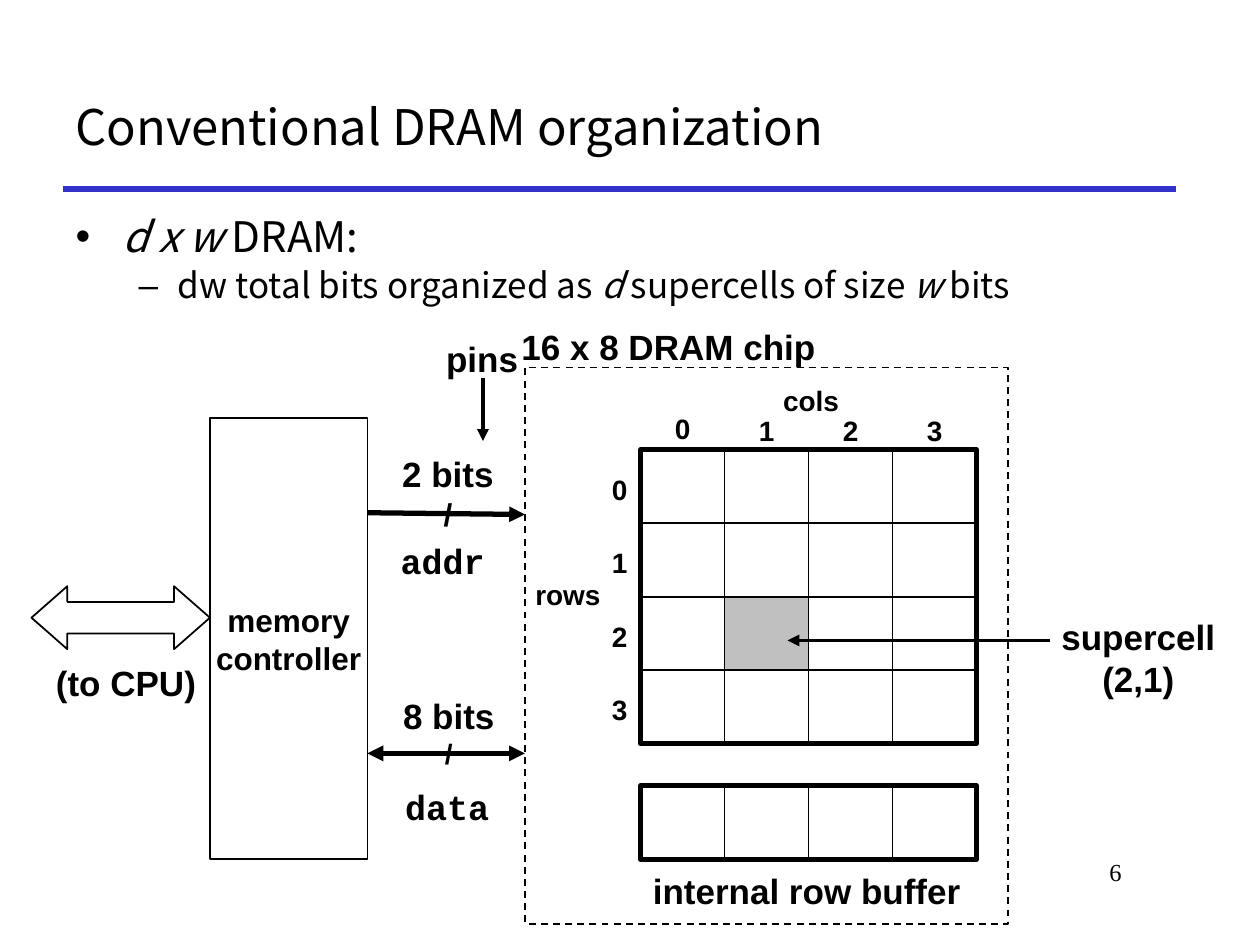
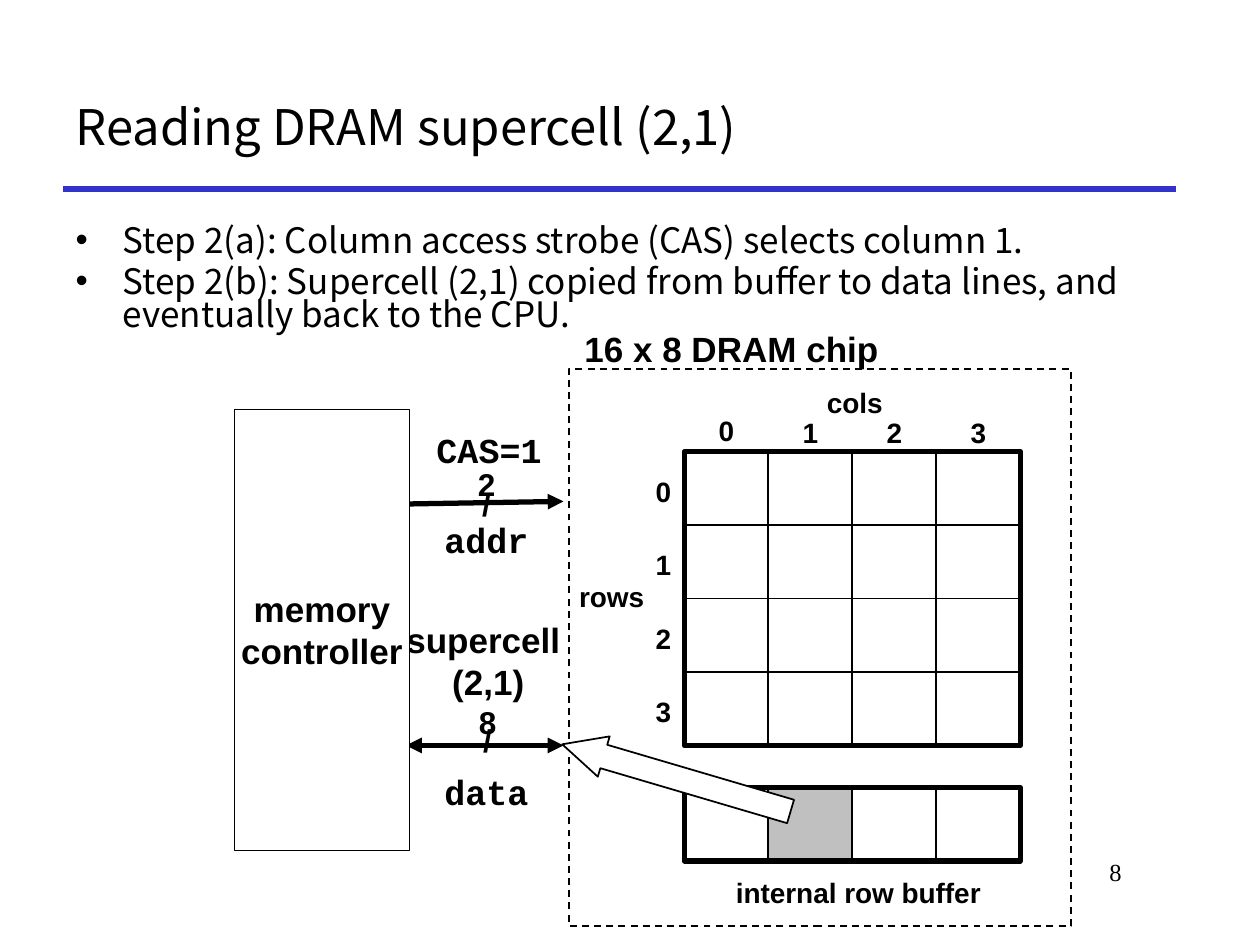
from lxml import etree
from pptx import Presentation
from pptx.dml.color import RGBColor
from pptx.enum import dml, shapes, text
from pptx.oxml import ns
from pptx.util import Pt

BLACK = RGBColor(0x00, 0x00, 0x00)
WHITE = RGBColor(0xFF, 0xFF, 0xFF)
GRAY = RGBColor(0xC0, 0xC0, 0xC0)
BLUE = RGBColor(0x33, 0x33, 0xCC)

HEADING, LABEL, CODE, NUMBER = (
    "Noto Sans CJK KR", "Arial", "Courier New", "Times New Roman")

CELL_W, CELL_H, CELLS = 48, 42, 4
BUFFER_DROP = 192  # from the top of the grid to the top of the row buffer
BULLETS = [("•", 27, -27), ("–", 58.5, -22.5)]  # mark, margin, indent by level


# Text
def add_run(p, words, size, font, bold=False, italic=False):
    r = p.add_run()
    r.text = words
    r.font.size = Pt(size)
    r.font.name = font
    r.font.bold = bold
    r.font.italic = italic
    r.font.color.rgb = BLACK


def write_lines(tf, lines, size, font, last_size=None, spacing=None):
    """Bold centred lines; the last one may have its own size."""
    tf.word_wrap = False
    tf.vertical_anchor = text.MSO_ANCHOR.MIDDLE
    for i, line in enumerate(lines):
        p = tf.paragraphs[0] if i == 0 else tf.add_paragraph()
        p.alignment = text.PP_ALIGN.CENTER
        if spacing:
            p.line_spacing = Pt(spacing)
        is_last = i == len(lines) - 1
        add_run(p, line, last_size if last_size and is_last else size, font, bold=True)


def label(s, lines, cx, cy, w, size=20, font=LABEL, last_size=None, spacing=None):
    """A text box centred on (cx, cy)."""
    h = len(lines) * (spacing or 1.2 * size) + 7.2
    sp = s.shapes.add_textbox(Pt(cx - w / 2), Pt(cy - h / 2), Pt(w), Pt(h))
    write_lines(sp.text_frame, lines, size, font, last_size, spacing)
    sp.text_frame.auto_size = text.MSO_AUTO_SIZE.SHAPE_TO_FIT_TEXT


# Shapes and lines
def outline(s, kind, x, y, w, h, fill=None, weight=1, dashed=False):
    sp = s.shapes.add_shape(kind, Pt(x), Pt(y), Pt(w), Pt(h))
    sp.shadow.inherit = False
    if fill is None:
        sp.fill.background()
    else:
        sp.fill.solid()
        sp.fill.fore_color.rgb = fill
    sp.line.color.rgb = BLACK
    sp.line.width = Pt(weight)
    if dashed:
        sp.line.dash_style = dml.MSO_LINE.DASH
    return sp


def box(s, *place, **style):
    return outline(s, shapes.MSO_SHAPE.RECTANGLE, *place, **style)


def line(s, x1, y1, x2, y2, weight=3, color=BLACK, ends=()):
    c = s.shapes.add_connector(
        shapes.MSO_CONNECTOR.STRAIGHT, Pt(x1), Pt(y1), Pt(x2), Pt(y2))
    c.line.color.rgb = color
    c.line.width = Pt(weight)
    ln = c.line._get_or_add_ln()
    for end in ends:
        etree.SubElement(ln, ns.qn(f"a:{end}"), type="triangle")
    etree.SubElement(c._element.spPr, ns.qn("a:effectLst"))


def arrow(s, *points, weight=3, both=False):
    ends = ("headEnd", "tailEnd") if both else ("tailEnd",)
    line(s, *points, weight=weight, ends=ends)


# Frame shared by the slides
def place(sp, x, y, w, h):
    sp.left, sp.top, sp.width, sp.height = Pt(x), Pt(y), Pt(w), Pt(h)
    sp.text_frame.auto_size = text.MSO_AUTO_SIZE.NONE
    return sp.text_frame


def new_slide(prs, title, number):
    s = prs.slides.add_slide(prs.slide_layouts[1])
    line(s, 36, 108, 672, 108, color=BLUE)

    tf = place(s.shapes.title, 36, 36, 636, 72)
    tf.vertical_anchor = text.MSO_ANCHOR.MIDDLE
    tf.paragraphs[0].alignment = text.PP_ALIGN.LEFT
    add_run(tf.paragraphs[0], title, 28, HEADING)

    tf = s.shapes.add_textbox(Pt(546), Pt(486), Pt(102), Pt(36)).text_frame
    tf.word_wrap = True
    tf.paragraphs[0].alignment = text.PP_ALIGN.RIGHT
    add_run(tf.paragraphs[0], number, 14, NUMBER)
    return s


def bullet_list(s, top, spacing, items):
    """Each item is a level, a size and its (words, italic) runs."""
    tf = place(s.placeholders[1], 36, top, 654, 60)
    for i, (level, size, runs) in enumerate(items):
        p = tf.paragraphs[0] if i == 0 else tf.add_paragraph()
        mark, margin, indent = BULLETS[level]
        p.level = level
        pPr = p._p.get_or_add_pPr()
        pPr.set("marL", str(Pt(margin)))
        pPr.set("indent", str(Pt(indent)))
        etree.SubElement(pPr, ns.qn("a:buChar"), char=mark)
        p.line_spacing = spacing
        p.space_before = Pt(0.2 * size if i else 0)
        for words, italic in runs:
            add_run(p, words, size, HEADING, italic=italic)


# DRAM diagram
def cell_block(s, x, y, rows, shaded=None):
    """Rows of cells inside a heavy border; shaded is a (row, column) pair."""
    for row in range(rows):
        for col in range(CELLS):
            box(s, x + col * CELL_W, y + row * CELL_H, CELL_W, CELL_H,
                fill=GRAY if (row, col) == shaded else WHITE)
    box(s, x, y, CELLS * CELL_W, rows * CELL_H, weight=3)


def dram_chip(s, x, y, frame_x, frame_w, title_x, caption,
              grid_shaded=None, buffer_shaded=None):
    """The chip, with its cell grid starting at (x, y)."""
    label(s, ["cols"], x + 97.5, y - 28, 47, 16)
    label(s, ["rows"], x - 41.5, y + 82.5, 53, 16)
    cell_block(s, x, y, CELLS, grid_shaded)
    for i in range(CELLS):
        label(s, [str(i)], x + (i + 0.5) * CELL_W, y - (11 if i else 12), 23, 16)
        label(s, [str(i)], x - 12, y + (i + 0.5) * CELL_H + 1.5, 23, 16)
    cell_block(s, x, y + BUFFER_DROP, 1, buffer_shaded)
    caption_x, caption_w, caption_size = caption
    label(s, ["internal row buffer"], caption_x, y + 252, caption_w, caption_size)
    box(s, frame_x, y - 47, frame_w, 318, dashed=True)
    label(s, ["16 x 8 DRAM chip"], title_x, y - 59, 184)


def memory_controller(s, x, y, w, size):
    sp = box(s, x, y, w, 252, fill=WHITE)
    write_lines(sp.text_frame, ["memory", "controller"], size, LABEL)


def organization_slide(prs):
    s = new_slide(prs, "Conventional DRAM organization", "6")
    bullet_list(s, 120, 0.9, [
        (0, 24, [("d x w", True), (" DRAM:", False)]),
        (1, 20, [("dw total bits organized as ", False), ("d", True),
                 (" supercells of size ", False), ("w", True), (" bits", False)]),
    ])
    dram_chip(s, 366, 257, 300, 276, 382, (461, 192, 20), grid_shaded=(2, 1))

    # Address and data pins
    arrow(s, 210, 293, 300, 294)
    label(s, ["addr"], 253, 320.5, 63, font=CODE)
    arrow(s, 210, 430.5, 300, 430.5, both=True)
    label(s, ["data"], 255.5, 461, 63, font=CODE)
    label(s, ["2 bits", "/"], 256, 281.5, 67, last_size=18)
    label(s, ["8 bits", "/"], 256.5, 418.5, 67, last_size=16)
    label(s, ["pins"], 275.5, 205, 56)
    arrow(s, 276, 216, 276, 252, weight=2.25)

    # Supercell callout
    label(s, ["supercell", "(2,1)"], 650.5, 375.5, 103)
    arrow(s, 600, 366, 450, 366, weight=2.25)

    # Controller and its link to the CPU
    memory_controller(s, 120, 239, 90, 18)
    cpu_link = outline(s, shapes.MSO_SHAPE.LEFT_RIGHT_ARROW,
                       18, 335, 102, 36, fill=WHITE)
    cpu_link.adjustments[0] = 0.5
    cpu_link.adjustments[1] = 0.57
    label(s, ["(to CPU)"], 72, 390, 95)


def reading_slide(prs):
    s = new_slide(prs, "Reading DRAM supercell (2,1)", "8")
    bullet_list(s, 126, 0.8, [
        (0, 20, [("Step 2(a): Column access strobe (CAS) selects column 1.", False)]),
        (0, 20, [("Step 2(b): Supercell (2,1) copied from buffer to data lines, "
                  "and eventually back to the CPU.", False)]),
    ])
    label(s, ["supercell ", "(2,1)"], 279, 377.5, 109)
    dram_chip(s, 391, 258, 325, 287, 418, (490.5, 156, 16), buffer_shaded=(0, 1))

    # Supercell leaving the buffer
    transfer = outline(s, shapes.MSO_SHAPE.DOWN_ARROW,
                       374.5, 376.5, 24, 136, fill=WHITE)
    transfer.rotation = 106.4
    transfer.adjustments[0] = 0.58
    transfer.adjustments[1] = 1.03

    # Address and data lines
    label(s, ["CAS=1"], 279.5, 257, 75, font=CODE)
    arrow(s, 232, 288, 322, 286.5)
    label(s, ["addr"], 278, 308, 63, font=CODE)
    arrow(s, 232, 426, 322, 426, both=True)
    label(s, ["data"], 278, 452, 63, font=CODE)
    label(s, ["2", "/"], 278, 287.5, 24, 18, spacing=11)
    label(s, ["8", "/"], 278.5, 423.5, 24, 18, spacing=10)

    memory_controller(s, 134, 234, 100, 20)


def main():
    prs = Presentation()
    prs.slide_width, prs.slide_height = Pt(720), Pt(540)
    organization_slide(prs)
    reading_slide(prs)
    prs.save("out.pptx")


if __name__ == "__main__":
    main()
